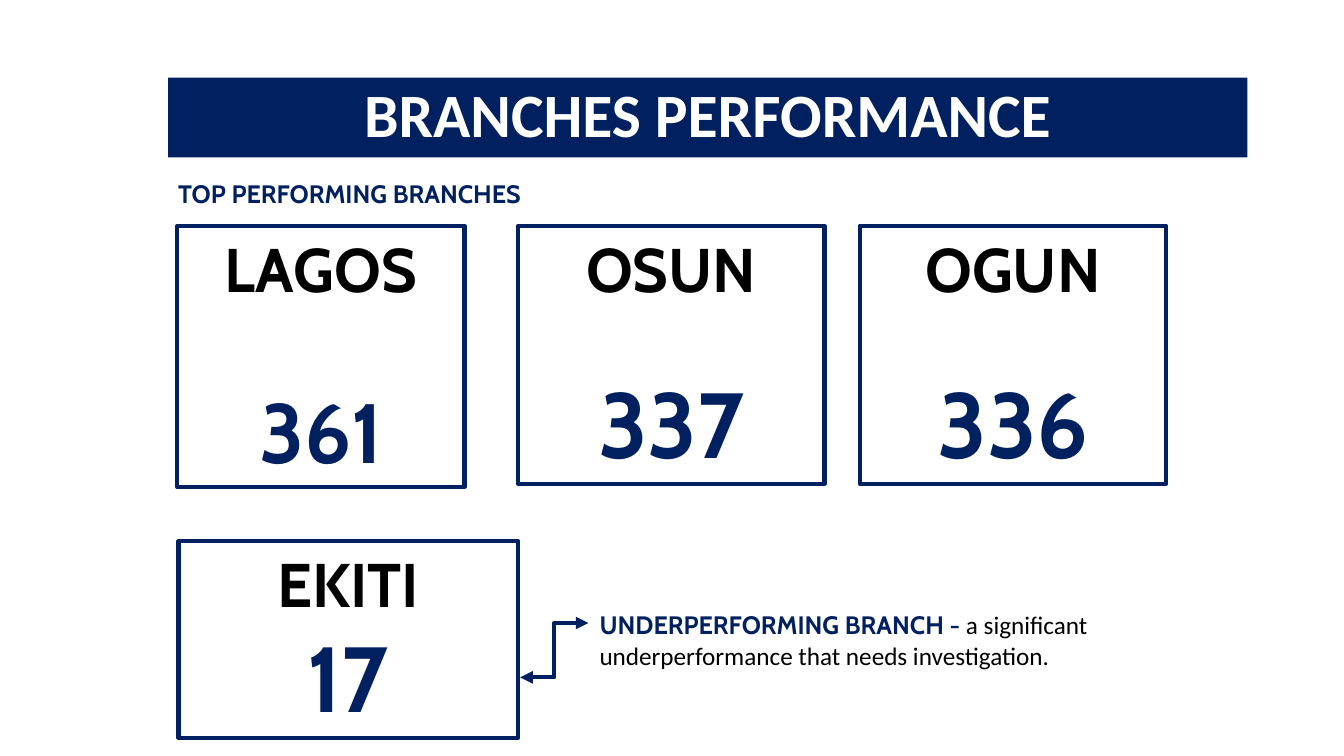
from pptx import Presentation
from pptx.dml.color import RGBColor
from pptx.enum.shapes import MSO_CONNECTOR as Conn, MSO_SHAPE as Shape
from pptx.enum.text import MSO_ANCHOR as Anchor, MSO_AUTO_SIZE as Fit, PP_ALIGN as Align
from pptx.oxml.ns import qn
from pptx.util import Cm, Pt
from lxml import etree

# Content
NAVY, WHITE, BLACK = "002060", "FFFFFF", "000000"
TITLE = "BRANCHES PERFORMANCE"
SUBHEAD = "TOP PERFORMING BRANCHES"
NOTE = [("UNDERPERFORMING BRANCH - ", "Cabin", NAVY, True),
        ("a significant underperformance that needs investigation.", "Calibri", BLACK, False)]
# name, value, value size, gap above value (pt), fill, (left, top, width, height) in cm
BRANCHES = [
    ("LAGOS", "361", 60, 53.5, WHITE, (4.47, 5.69, 7.24, 6.58)),
    ("OSUN", "337", 66, 44, WHITE, (13.06, 5.69, 7.72, 6.5)),
    ("OGUN", "336", 66, 44, WHITE, (21.67, 5.69, 7.72, 6.5)),
    ("EKITI", "17", 66, 0, None, (4.5, 13.64, 8.56, 4.95)),
]
ARROW = (14.83, 15.7, 13.11, 17.07)


def color(value):
    return RGBColor.from_string(value)


def cm(*values):
    return [Cm(v) for v in values]


def add_run(p, text, size=18, font="Cabin", fill=NAVY, bold=True):
    r = p.add_run()
    r.text = text
    r.font.size, r.font.name, r.font.bold = Pt(size), font, bold
    r.font.color.rgb = color(fill)


def add_box(box, fill=None, line=None, anchor=Anchor.TOP):
    sp = s.shapes.add_shape(Shape.RECTANGLE, *cm(*box))
    sp.shadow.inherit = False
    if fill:
        sp.fill.solid()
        sp.fill.fore_color.rgb = color(fill)
    else:
        sp.fill.background()
    if line:
        sp.line.color.rgb = color(line)
        sp.line.width = Pt(3)
    else:
        sp.line.fill.background()
    tf = sp.text_frame
    tf.word_wrap, tf.vertical_anchor = True, anchor
    tf.paragraphs[0].alignment = Align.CENTER
    return tf


def add_text(box):
    tf = s.shapes.add_textbox(*cm(*box)).text_frame
    tf.word_wrap, tf.auto_size = True, Fit.SHAPE_TO_FIT_TEXT
    return tf.paragraphs[0]


prs = Presentation()
prs.slide_width, prs.slide_height = cm(33.87, 19.05)
s = prs.slides.add_slide(prs.slide_layouts[6])

# Title bar and subheading
p = add_box((4.24, 1.96, 27.2, 2.01), fill=NAVY, anchor=Anchor.MIDDLE).paragraphs[0]
p.line_spacing = 0.9
add_run(p, TITLE, size=44, font="Calibri", fill=WHITE)
add_run(add_text((4.24, 4.37, 11.35, 1.02)), SUBHEAD)

# Branch cards
for name, value, size, gap, fill, box in BRANCHES:
    tf = add_box(box, fill=fill, line=NAVY)
    tf.auto_size = Fit.SHAPE_TO_FIT_TEXT
    add_run(tf.paragraphs[0], name, size=44, fill=BLACK)
    p = tf.add_paragraph()
    p.alignment, p.space_before = Align.CENTER, Pt(gap)
    add_run(p, value, size=size)

# Note on the weakest branch
p = add_text((14.86, 15.24, 13.64, 1.8))
for text, font, fill, bold in NOTE:
    add_run(p, text, font=font, fill=fill, bold=bold)

# Double-headed elbow arrow
arrow = s.shapes.add_connector(Conn.ELBOW, *cm(*ARROW))
arrow.line.color.rgb = color(NAVY)
arrow.line.width = Pt(3)
sppr = arrow._element.spPr
for end in ("a:headEnd", "a:tailEnd"):
    etree.SubElement(sppr.find(qn("a:ln")), qn(end), type="triangle")
etree.SubElement(sppr, qn("a:effectLst"))

prs.save("out.pptx")
